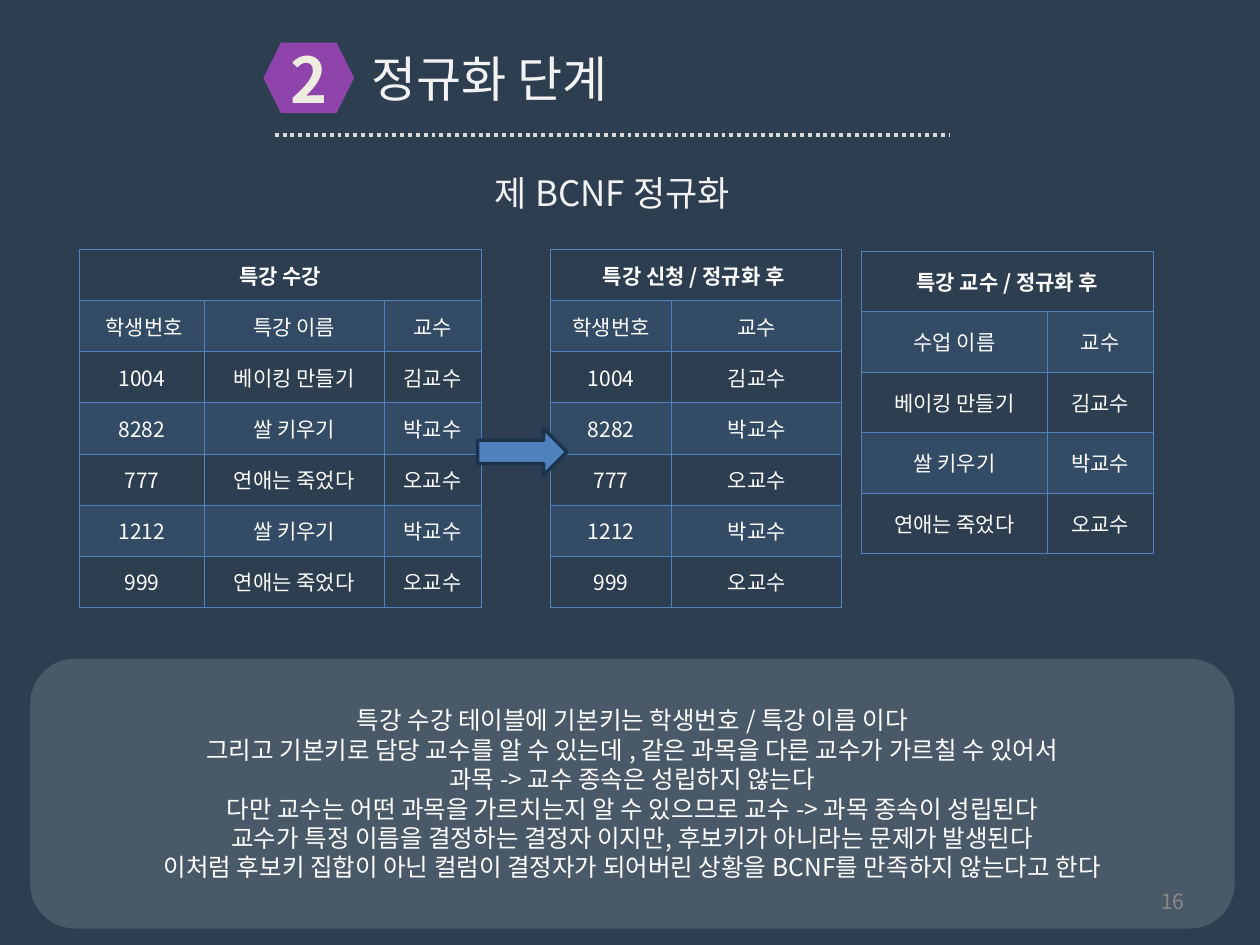
from lxml import etree
from pptx import Presentation
from pptx import util as u
from pptx.dml.color import RGBColor
from pptx.enum import dml, shapes, text
from pptx.oxml import ns

LEFT, CENTER, RIGHT = text.PP_ALIGN.LEFT, text.PP_ALIGN.CENTER, text.PP_ALIGN.RIGHT
TOP, MIDDLE = text.MSO_ANCHOR.TOP, text.MSO_ANCHOR.MIDDLE


def paint(fill, color, opacity=100):
    """Fill with a hex colour, optionally see-through."""
    fill.solid()
    fill.fore_color.rgb = RGBColor.from_string(color)
    if opacity < 100:
        for tint in fill._xPr.iter(ns.qn("a:srgbClr")):
            etree.SubElement(tint, ns.qn("a:alpha"), val=str(opacity * 1000))


class SlideBuilder:
    font = "Noto Sans CJK KR"
    background = "2D3E50"
    accent = "4F81BD"
    white = "FFFFFF"
    heading = "F2F2F2"

    def __init__(self, presentation):
        self.slide = presentation.slides.add_slide(presentation.slide_layouts[6])
        paint(self.slide.background.fill, self.background)

    def add_lines(self, frame, lines, size, color, align=CENTER, bold=False):
        for index, line in enumerate(lines):
            paragraph = frame.paragraphs[0] if index == 0 else frame.add_paragraph()
            paragraph.alignment = align
            run = paragraph.add_run()
            run.text = line
            run.font.size = u.Pt(size)
            run.font.bold = bold
            run.font.name = self.font
            paint(run.font.fill, color)
            etree.SubElement(run.font._element, ns.qn("a:ea"), typeface=self.font)

    def textbox(self, box, line, size, color, align=LEFT, anchor=TOP):
        frame = self.slide.shapes.add_textbox(*map(u.Cm, box)).text_frame
        frame.word_wrap = True
        frame.vertical_anchor = anchor
        self.add_lines(frame, [line], size, color, align)

    def shape(self, kind, box, color, opacity=100, outline=None):
        shape = self.slide.shapes.add_shape(kind, *map(u.Cm, box))
        shape.shadow.inherit = False
        paint(shape.fill, color, opacity)
        if outline:
            paint(shape.line.fill, outline)
            shape.line.width = u.Pt(2)
        else:
            shape.line.fill.background()
        shape.text_frame.vertical_anchor = MIDDLE
        return shape

    def dotted_line(self, left, right, top, color):
        line = self.slide.shapes.add_connector(
            shapes.MSO_CONNECTOR.STRAIGHT, u.Cm(left), u.Cm(top), u.Cm(right), u.Cm(top))
        paint(line.line.fill, color)
        line.line.width = u.Pt(2.25)
        line.line.dash_style = dml.MSO_LINE.ROUND_DOT
        etree.SubElement(line._element.spPr, ns.qn("a:effectLst"))

    def borders(self, cell, row):
        properties = cell._tc.get_or_add_tcPr()
        thick = {0: "lnB", 1: "lnT"}.get(row)
        for side in ("lnL", "lnR", "lnT", "lnB"):
            width = u.Pt(0.96 if side == thick else 0.45)
            border = etree.SubElement(properties, ns.qn("a:" + side), w=str(width))
            solid = etree.SubElement(border, ns.qn("a:solidFill"))
            etree.SubElement(solid, ns.qn("a:srgbClr"), val=self.accent)

    def table(self, left, top, widths, row_height, title, rows):
        count = len(rows) + 1
        table = self.slide.shapes.add_table(
            count, len(widths), u.Cm(left), u.Cm(top),
            u.Cm(sum(widths)), u.Cm(row_height * count)).table
        table.first_row = table.horz_banding = False
        for column, width in zip(table.columns, widths):
            column.width = u.Cm(width)
        for row in table.rows:
            row.height = u.Cm(row_height)
        table.cell(0, 0).merge(table.cell(0, len(widths) - 1))
        for r in range(count):
            for c in range(len(widths)):
                cell = table.cell(r, c)
                cell.vertical_anchor = MIDDLE
                self.borders(cell, r)
                if r % 2:
                    paint(cell.fill, self.accent, 20)
                else:
                    cell.fill.background()
                if not cell.is_spanned:
                    value = rows[r - 1][c] if r else title
                    self.add_lines(cell.text_frame, [value], 12, self.white, bold=r == 0)


def main():
    presentation = Presentation()
    presentation.slide_width, presentation.slide_height = u.Cm(25.4), u.Cm(19.05)
    builder = SlideBuilder(presentation)
    preset = shapes.MSO_SHAPE

    # Heading
    badge = builder.shape(preset.HEXAGON, (5.31, 0.86, 1.83, 1.42), "8F44AB")
    builder.add_lines(badge.text_frame, ["2"], 36, "EEECE1", bold=True)
    builder.textbox((7.24, 0.86, 13.41, 1.45), "정규화 단계", 28, builder.heading)
    builder.dotted_line(5.54, 19.15, 2.72, "D9D9D9")
    builder.textbox((5.64, 3.33, 13.41, 1.12), "제 BCNF 정규화", 20, builder.heading, CENTER)

    # Table before normalisation, and the two it is split into
    lectures = [
        ("1004", "베이킹 만들기", "김교수"),
        ("8282", "쌀 키우기", "박교수"),
        ("777", "연애는 죽었다", "오교수"),
        ("1212", "쌀 키우기", "박교수"),
        ("999", "연애는 죽었다", "오교수"),
    ]
    applications = [(student, professor) for student, _, professor in lectures]
    professors = [(name, professor) for _, name, professor in lectures[:3]]
    builder.table(1.6, 5.03, (2.52, 3.62, 1.96), 1.03, "특강 수강",
                  [(" 학생번호", "특강 이름", "교수")] + lectures)
    builder.table(11.1, 5.03, (2.44, 3.43), 1.03, "특강 신청 / 정규화 후 ",
                  [("학생번호", "교수")] + applications)
    builder.table(17.37, 5.06, (3.74, 2.14), 1.22, "특강 교수 / 정규화 후",
                  [("수업 이름", "교수")] + professors)
    builder.shape(preset.RIGHT_ARROW, (9.63, 8.64, 1.8, 0.94), builder.accent, outline="1C334E")

    # Explanation
    panel = builder.shape(preset.ROUNDED_RECTANGLE, (0.61, 13.28, 24.28, 5.44), builder.white, 14)
    builder.add_lines(panel.text_frame, [
        "특강 수강 테이블에 기본키는 학생번호 / 특강 이름 이다",
        "그리고 기본키로 담당 교수를 알 수 있는데 , 같은 과목을 다른 교수가 가르칠 수 있어서",
        "과목 -> 교수 종속은 성립하지 않는다",
        "다만 교수는 어떤 과목을 가르치는지 알 수 있으므로 교수 -> 과목 종속이 성립된다",
        "교수가 특정 이름을 결정하는 결정자 이지만, 후보키가 아니라는 문제가 발생된다",
        "이처럼 후보키 집합이 아닌 컬럼이 결정자가 되어버린 상황을 BCNF를 만족하지 않는다고 한다",
    ], 14, builder.white)

    # Page number
    builder.textbox((18.21, 17.65, 5.92, 1.02), "16", 12, "898989", RIGHT, MIDDLE)

    presentation.save("out.pptx")


if __name__ == "__main__":
    main()
